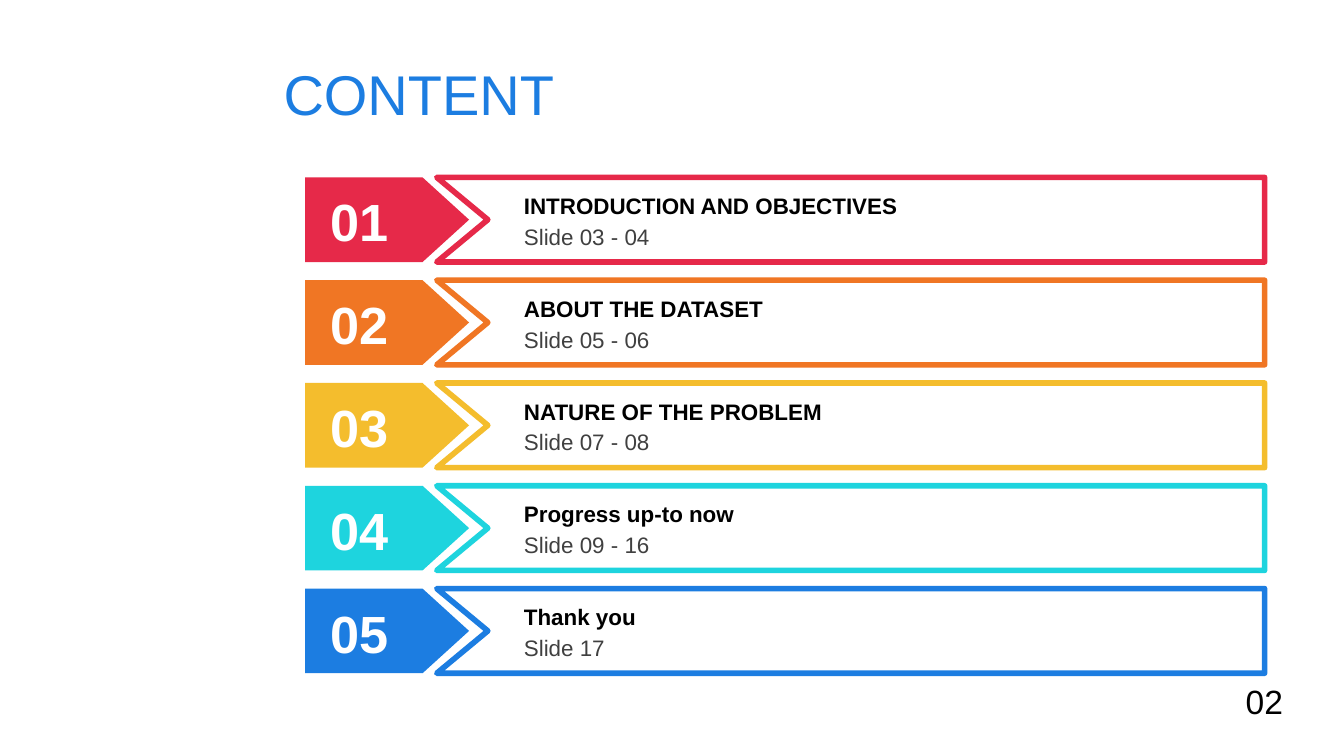
from dataclasses import dataclass

from pptx import Presentation
from pptx.dml.color import RGBColor
from pptx.enum.shapes import MSO_SHAPE
from pptx.enum.text import MSO_ANCHOR, PP_ALIGN
from pptx.util import Inches, Pt

PENTAGON = MSO_SHAPE.PENTAGON
TOP, MIDDLE = MSO_ANCHOR.TOP, MSO_ANCHOR.MIDDLE
LEFT = PP_ALIGN.LEFT

WIDTH = 10
HEIGHT = WIDTH * 9 / 16
FONT = "Arial"
WHITE, BLACK, GREY, BLUE = "FFFFFF", "000000", "404040", "1C7DE1"

# Row grid, in inches
FIRST_ROW, LAST_ROW, ROW_HEIGHT = 1.32, 4.38, 0.63
TAG_LEFT, TAG_WIDTH = 2.27, 1.22
FRAME_LEFT, FRAME_RIGHT, NOTCH = 3.25, 9.41, 0.38
LABEL_LEFT, LABEL_WIDTH, LABEL_HEIGHT = 3.8, 5.3, 0.3


@dataclass(frozen=True)
class Section:
    heading: str
    pages: str
    color: str


SECTIONS = [
    Section("INTRODUCTION AND OBJECTIVES", "Slide 03 - 04", "E62949"),
    Section("ABOUT THE DATASET", "Slide 05 - 06", "F07624"),
    Section("NATURE OF THE PROBLEM", "Slide 07 - 08", "F4BD2D"),
    Section("Progress up-to now", "Slide 09 - 16", "1ED4DE"),
    Section("Thank you", "Slide 17", BLUE),
]
ROW_PITCH = (LAST_ROW - FIRST_ROW) / (len(SECTIONS) - 1)


def rgb(color: str) -> RGBColor:
    return RGBColor.from_string(color)


def write(shape, text: str, *, size: float, color: str, bold: bool = False,
          anchor=TOP, inset_y: float = 0.05) -> None:
    frame = shape.text_frame
    frame.word_wrap = True
    frame.vertical_anchor = anchor
    frame.margin_top = frame.margin_bottom = Inches(inset_y)
    paragraph = frame.paragraphs[0]
    paragraph.alignment = LEFT
    run = paragraph.add_run()
    run.text = text
    run.font.name = FONT
    run.font.size = Pt(size)
    run.font.bold = bold
    run.font.color.rgb = rgb(color)


def add_text(slide, left: float, top: float, width: float, height: float,
             text: str, **style) -> None:
    box = slide.shapes.add_textbox(*map(Inches, (left, top, width, height)))
    write(box, text, **style)


def paint(shape, fill: str) -> None:
    shape.shadow.inherit = False
    shape.fill.solid()
    shape.fill.fore_color.rgb = rgb(fill)


def add_tag(slide, top: float, color: str) -> None:
    tag = slide.shapes.add_shape(
        PENTAGON, *map(Inches, (TAG_LEFT, top, TAG_WIDTH, ROW_HEIGHT)))
    tag.adjustments[0] = 0.55
    paint(tag, color)
    tag.line.fill.background()


def add_notched_frame(slide, top: float, color: str) -> None:
    bottom = top + ROW_HEIGHT
    corners = [(FRAME_LEFT, top), (FRAME_RIGHT, top), (FRAME_RIGHT, bottom),
               (FRAME_LEFT, bottom), (FRAME_LEFT + NOTCH, top + ROW_HEIGHT / 2)]
    start, *others = [(Inches(x), Inches(y)) for x, y in corners]
    builder = slide.shapes.build_freeform(*start)
    builder.add_line_segments(others, close=True)
    outline = builder.convert_to_shape()
    paint(outline, WHITE)
    outline.line.color.rgb = rgb(color)
    outline.line.width = Pt(3)


def add_section(slide, index: int, section: Section) -> None:
    top = FIRST_ROW + index * ROW_PITCH
    add_tag(slide, top, section.color)
    add_notched_frame(slide, top, section.color)
    add_text(slide, TAG_LEFT + 0.09, top + 0.09, 0.66, 0.47, f"{index + 1:02}",
             size=28, color=WHITE, bold=True, anchor=MIDDLE, inset_y=0)
    add_text(slide, LABEL_LEFT, top + 0.06, LABEL_WIDTH, LABEL_HEIGHT,
             section.heading, size=12, color=BLACK, bold=True)
    add_text(slide, LABEL_LEFT, top + 0.29, LABEL_WIDTH, LABEL_HEIGHT,
             section.pages, size=12, color=GREY)


def main() -> None:
    deck = Presentation()
    deck.slide_width, deck.slide_height = Inches(WIDTH), Inches(HEIGHT)
    slide = deck.slides.add_slide(deck.slide_layouts[5])

    title = slide.shapes.title
    title.left, title.top = Inches(2.01), Inches(0.21)
    title.width, title.height = Inches(8.23), Inches(0.97)
    write(title, "CONTENT", size=30, color=BLUE, anchor=MIDDLE)

    for index, section in enumerate(SECTIONS):
        add_section(slide, index, section)

    add_text(slide, 9.17, 5.02, 0.94, 0.4, "02", size=18, color=BLACK)
    deck.save("out.pptx")


if __name__ == "__main__":
    main()
